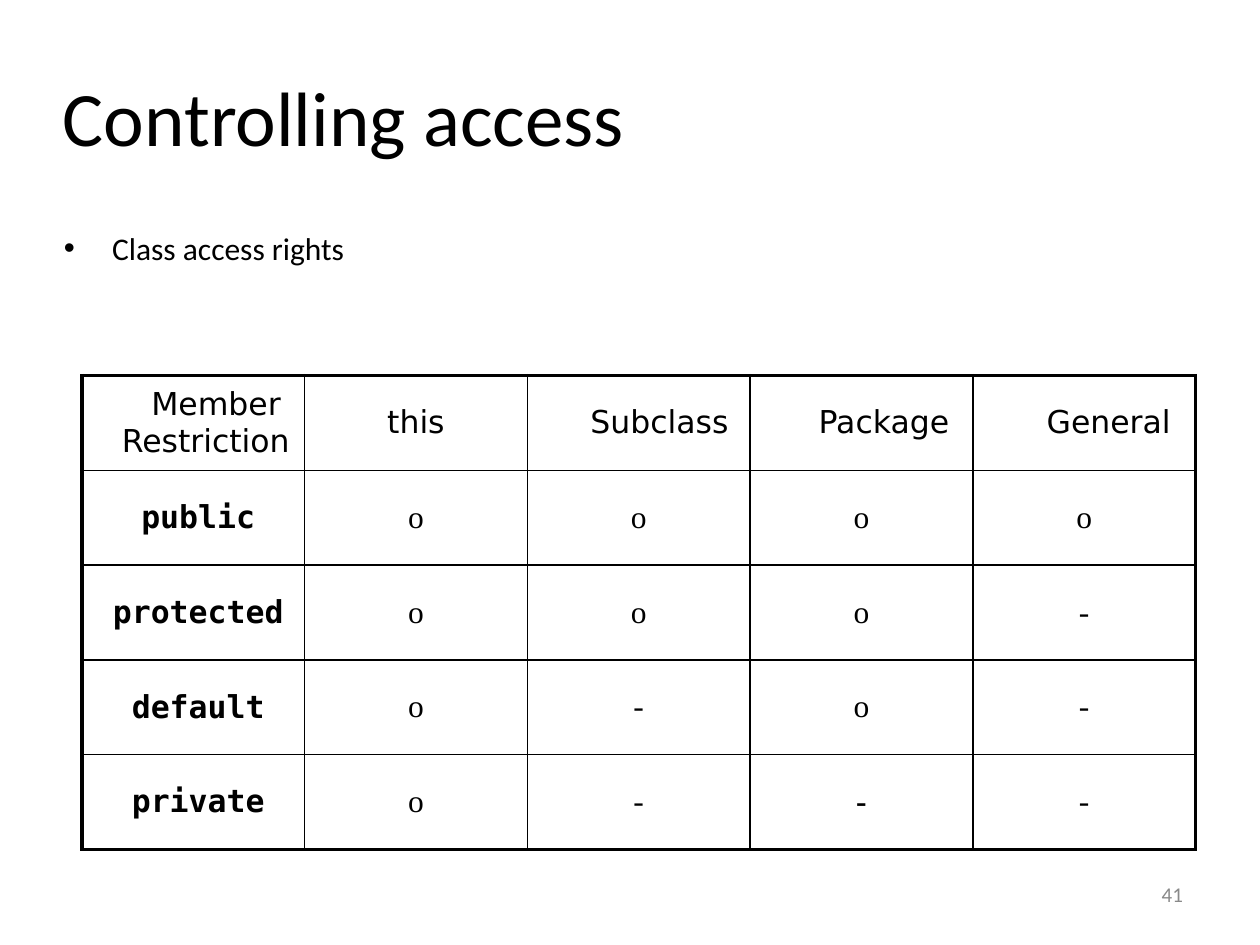
from lxml.etree import SubElement
from pptx import Presentation
from pptx.dml.color import RGBColor
from pptx.enum.text import MSO_ANCHOR as Anchor, MSO_AUTO_SIZE as AutoSize, PP_ALIGN as Align
from pptx.oxml.ns import qn
from pptx.util import Cm, Pt

COLORS = {"ink": "000000", "page_number": "898989"}


def write(p, text, font, size, color="ink", bold=False, left=0, first=0):
    """Fill a paragraph with one run; left and first are indents in cm."""
    r = p.add_run()
    r.text = text
    formats = {"name": font, "size": Pt(size), "bold": bold}
    for key, value in formats.items():
        setattr(r.font, key, value)
    r.font.color.rgb = RGBColor.from_string(COLORS[color])
    pPr = p._p.get_or_add_pPr()
    pPr.set("marL", str(Cm(left)))
    pPr.set("indent", str(Cm(first)))


def set_borders(cell, widths):
    tcPr = cell._tc.get_or_add_tcPr()
    for side, width in widths.items():
        ln = SubElement(tcPr, qn(f"a:ln{side}"), w=str(Pt(width)))
        fill = SubElement(ln, qn("a:solidFill"))
        SubElement(fill, qn("a:srgbClr"), val=COLORS["ink"])


prs = Presentation()
prs.slide_width, prs.slide_height = Cm(25.4), Cm(19.05)
s = prs.slides.add_slide(prs.slide_layouts[6])

# Title, bullet and page number
NO_MARGINS = {"margin_left": 0, "margin_right": 0, "margin_top": 0, "margin_bottom": 0}
texts = [
    ((1.27, 1.4, 11.4, 1.63), "Controlling access", {"size": 44}),
    ((1.27, 4.62, 5.72, 0.74), "Class access rights", {"size": 18, "left": 0.99, "first": -0.97}),
    ((22.94, 17.78, 0.99, 0.66), "41", {"size": 12, "color": "page_number", "left": 0.48}),
]
for box, text, style in texts:
    tf = s.shapes.add_textbox(*map(Cm, box)).text_frame
    formats = {**NO_MARGINS, "word_wrap": True, "auto_size": AutoSize.SHAPE_TO_FIT_TEXT}
    for key, value in formats.items():
        setattr(tf, key, value)
    p = tf.paragraphs[0]
    write(p, text, "Calibri", **style)
    if style.get("first"):
        pPr = p._p.get_or_add_pPr()
        SubElement(pPr, qn("a:buFont"), typeface="Arial")
        SubElement(pPr, qn("a:buChar"), char="•")

# Access rights table
headers = ["Member Restriction", "this", "Subclass", "Package", "General"]
header_indents = [0.51, 0, 0.84, 0.91, 0.99]
rights = {
    "public": "oooo",
    "protected": "ooo-",
    "default": "o-o-",
    "private": "o---",
}
rows = [headers] + [[name, *marks] for name, marks in rights.items()]
last_row, last_col = len(rows) - 1, len(headers) - 1

table = s.shapes.add_table(len(rows), len(headers), Cm(1.65), Cm(7.57), Cm(22.45), Cm(9.55)).table
table.first_row = table.horz_banding = False
for column in table.columns:
    column.width = Cm(4.49)
for row in table.rows:
    row.height = Cm(1.91)

for i, values in enumerate(rows):
    for j, text in enumerate(values):
        cell = table.cell(i, j)
        for key, value in {**NO_MARGINS, "vertical_anchor": Anchor.MIDDLE}.items():
            setattr(cell, key, value)
        set_borders(cell, {
            "L": 2.25 if j == 0 else 1,
            "R": 2.25 if j == last_col else 1,
            "T": 2.25 if i == 0 else 1,
            "B": 2.25 if i == last_row else 1,
        })
        cell.fill.background()
        p = cell.text_frame.paragraphs[0]
        p.alignment = Align.CENTER
        if i == 0:
            write(p, text, "DejaVu Sans", 18, left=header_indents[j], first=0.41 if j == 0 else 0)
        elif j == 0:
            write(p, text, "DejaVu Sans Mono", 18, bold=True, left=0.2)
        else:
            write(p, text, "Times New Roman", 18, bold=(i, j) == (last_row, 3))
table.cell(0, 0).text_frame.paragraphs[0].line_spacing = Pt(21.3)

prs.save("out.pptx")
